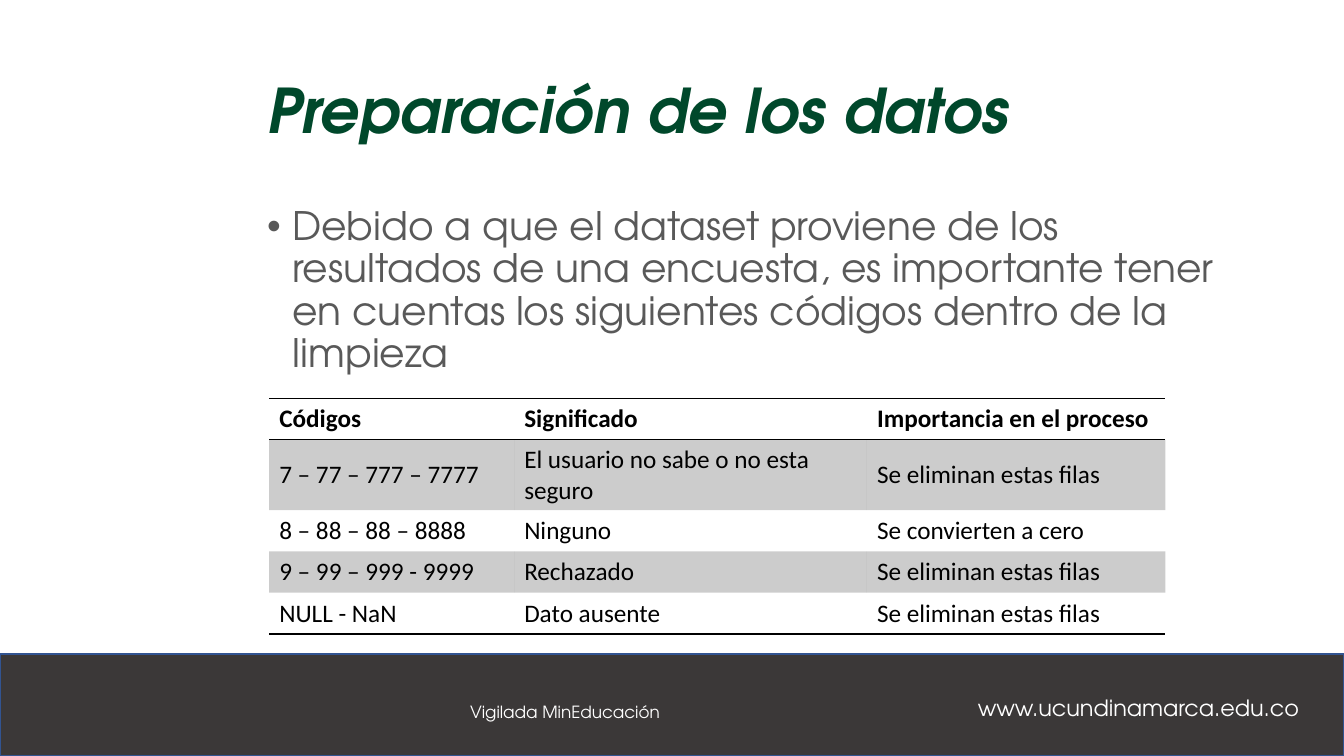
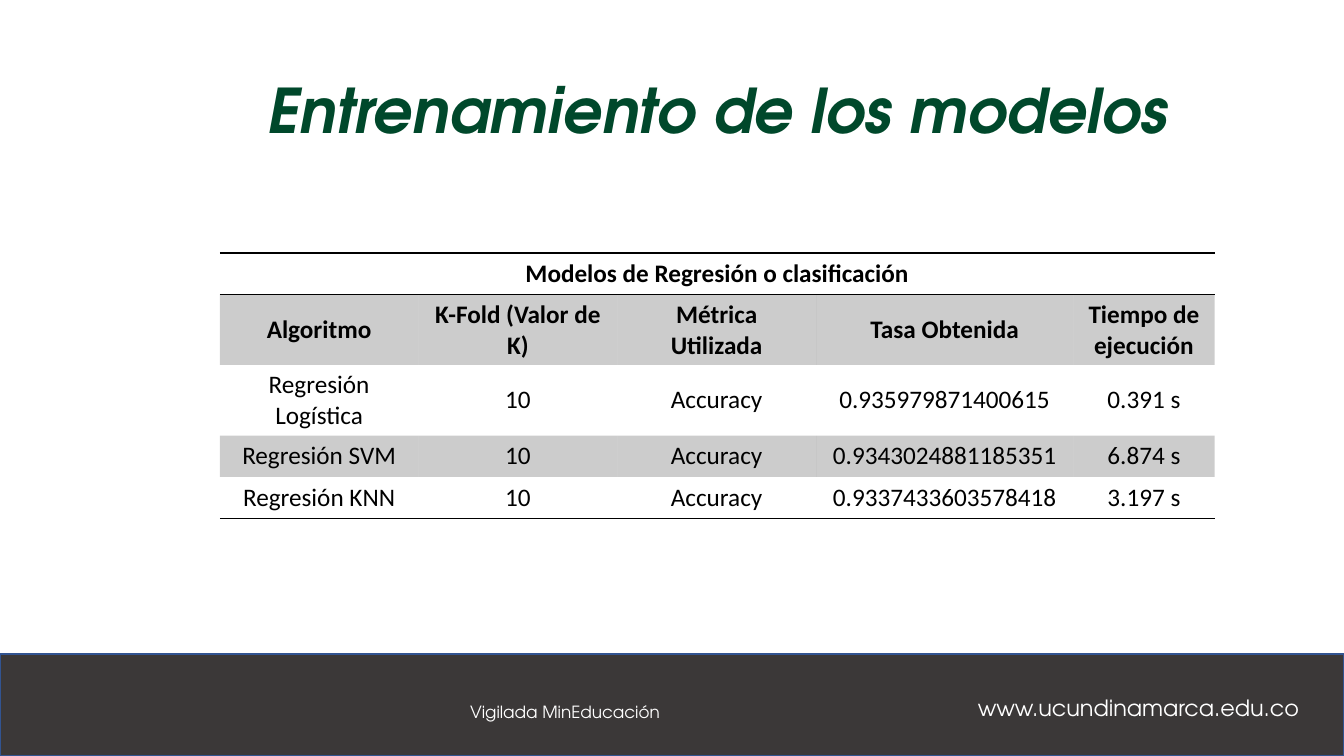
from dataclasses import dataclass

from lxml.etree import SubElement
from pptx import Presentation
from pptx.dml.color import RGBColor
from pptx.enum.shapes import MSO_SHAPE
from pptx.enum.text import MSO_ANCHOR, MSO_AUTO_SIZE, PP_ALIGN
from pptx.oxml import parse_xml
from pptx.oxml.ns import nsdecls, qn
from pptx.util import Inches, Pt


@dataclass(frozen=True)
class Theme:
    heading_font: str = "TeX Gyre Adventor"
    table_font: str = "Calibri"
    green: str = "00482B"
    gray: str = "595959"
    black: str = "000000"
    white: str = "FFFFFF"
    band: str = "3B3838"
    band_line: str = "325491"
    stripe_opacity: int = 20
    title_size: int = 44
    body_size: int = 28
    table_size: int = 18
    address_size: int = 16
    notice_size: int = 12
    line_spacing: float = 0.9


@dataclass(frozen=True)
class Box:
    left: int
    top: int
    width: int
    height: int

    def share(self, left, top, width, height):
        return Box(
            round(self.left + self.width * left / 100),
            round(self.top + self.height * top / 100),
            round(self.width * width / 100),
            round(self.height * height / 100),
        )

    def frame(self):
        return self.left, self.top, self.width, self.height


THEME = Theme()
PAGE = Box(0, 0, Inches(13.33), Inches(7.5))
FOOTER = PAGE.share(0, 86.53, 100, 13.47)
TITLE = PAGE.share(19.13, 5.33, 74.03, 19.33)
BODY = PAGE.share(19.13, 26.67, 74.03, 56.53)
CODES_TABLE = PAGE.share(20.03, 52.67, 66.68, 27.33)
MODELS_TABLE = PAGE.share(16.35, 33.47, 74.03, 27.33)

CODES = [
    ["Códigos", "Significado", "Importancia en el proceso"],
    ["7 – 77 – 777 – 7777", "El usuario no sabe o no esta seguro", "Se eliminan estas filas"],
    ["8 – 88 – 88 – 8888", "Ninguno", "Se convierten a cero"],
    ["9 – 99 – 999 - 9999", "Rechazado", "Se eliminan estas filas"],
    ["NULL - NaN", "Dato ausente", "Se eliminan estas filas"],
]
MODELS = [
    ["Modelos de Regresión o clasificación"],
    ["Algoritmo", "K-Fold (Valor de K)", "Métrica Utilizada", "Tasa Obtenida", "Tiempo de ejecución"],
    ["Regresión Logística", "10", "Accuracy", "0.935979871400615", "0.391 s"],
    ["Regresión SVM", "10", "Accuracy", "0.9343024881185351", "6.874 s"],
    ["Regresión KNN", "10", "Accuracy", "0.9337433603578418", "3.197 s"],
]
NO_TABLE_STYLE = "{2D5ABB26-0587-4C30-8999-92F81FD0307C}"


def format_paragraph(paragraph, font, size, color, align=PP_ALIGN.LEFT, bold=False, italic=False, spacing=1.0):
    paragraph.alignment = align
    paragraph.line_spacing = spacing
    paragraph.space_before = Pt(0)
    paragraph.font.name = font
    paragraph.font.size = Pt(size)
    paragraph.font.bold = bold
    paragraph.font.italic = italic
    paragraph.font.color.rgb = RGBColor.from_string(color)


def place(shape, box):
    shape.left, shape.top, shape.width, shape.height = box.frame()


def add_footer_text(slide, box, text, size):
    shape = slide.shapes.add_textbox(*box.frame())
    shape.text_frame.word_wrap = True
    shape.text_frame.text = text
    format_paragraph(
        shape.text_frame.paragraphs[0], THEME.heading_font, size, THEME.white,
        align=PP_ALIGN.CENTER, spacing=THEME.line_spacing,
    )


def add_footer(slide, box):
    band = slide.shapes.add_shape(MSO_SHAPE.RECTANGLE, *box.frame())
    band.shadow.inherit = False
    band.fill.solid()
    band.fill.fore_color.rgb = RGBColor.from_string(THEME.band)
    band.line.color.rgb = RGBColor.from_string(THEME.band_line)
    band.line.width = Pt(1)
    add_footer_text(slide, box.share(70.95, 37.6, 27.53, 39.6), "www.ucundinamarca.edu.co", THEME.address_size)
    add_footer_text(slide, box.share(28.28, 43.56, 27.53, 34.65), "Vigilada MinEducación", THEME.notice_size)


def set_title(slide, box, text):
    title = slide.shapes.title
    place(title, box)
    frame = title.text_frame
    frame.text = text
    frame.auto_size = MSO_AUTO_SIZE.NONE
    frame.vertical_anchor = MSO_ANCHOR.MIDDLE
    format_paragraph(
        frame.paragraphs[0], THEME.heading_font, THEME.title_size, THEME.green,
        bold=True, italic=True, spacing=THEME.line_spacing,
    )


def set_body(slide, box, text):
    body = slide.placeholders[1]
    place(body, box)
    frame = body.text_frame
    frame.text = text
    frame.auto_size = MSO_AUTO_SIZE.NONE
    paragraph = frame.paragraphs[0]
    properties = paragraph._p.get_or_add_pPr()
    properties.set("marL", str(Inches(0.25)))
    properties.set("indent", str(-Inches(0.25)))
    SubElement(properties, qn("a:buFont"), typeface="Arial")
    SubElement(properties, qn("a:buChar"), char="•")
    format_paragraph(
        paragraph, THEME.heading_font, THEME.body_size, THEME.gray, spacing=THEME.line_spacing,
    )


def fill_cell(cell, striped):
    if not striped:
        cell.fill.background()
        return
    cell.fill.solid()
    cell.fill.fore_color.rgb = RGBColor.from_string(THEME.black)
    color = cell._tc.tcPr.find(qn("a:solidFill"))[0]
    SubElement(color, qn("a:alpha"), val=str(THEME.stripe_opacity * 1000))


def draw_rules(cell, sides):
    for position, side in enumerate(sides):
        rule = parse_xml(
            f'<a:{side} {nsdecls("a")} w="{Pt(1)}"><a:solidFill>'
            f'<a:srgbClr val="{THEME.black}"/></a:solidFill></a:{side}>'
        )
        cell._tc.get_or_add_tcPr().insert(position, rule)


def add_striped_table(slide, box, rows, weights, align=PP_ALIGN.LEFT, bold_rows=1):
    graphic = slide.shapes.add_table(len(rows), len(weights), *box.frame())
    table = graphic.table
    table.first_row = table.horz_banding = False
    graphic.element.xpath(".//a:tableStyleId")[0].text = NO_TABLE_STYLE
    for column, weight in zip(table.columns, weights):
        column.width = round(box.width * weight / sum(weights))
    rules = {0: ("lnT", "lnB"), len(rows) - 1: ("lnB",)}
    for row_index, texts in enumerate(rows):
        if len(texts) == 1:
            table.cell(row_index, 0).merge(table.cell(row_index, len(weights) - 1))
        for column_index in range(len(weights)):
            cell = table.cell(row_index, column_index)
            fill_cell(cell, row_index % 2 == 1)
            draw_rules(cell, rules.get(row_index, ()))
            if column_index < len(texts):
                cell.text = texts[column_index]
                cell.vertical_anchor = MSO_ANCHOR.MIDDLE
                format_paragraph(
                    cell.text_frame.paragraphs[0], THEME.table_font, THEME.table_size, THEME.black,
                    align=align, bold=row_index < bold_rows,
                )


def add_page(presentation, layout_name, title):
    slide = presentation.slides.add_slide(presentation.slide_layouts.get_by_name(layout_name))
    add_footer(slide, FOOTER)
    set_title(slide, TITLE, title)
    return slide


def add_preparation_slide(presentation):
    slide = add_page(presentation, "Title and Content", "Preparación de los datos")
    set_body(
        slide, BODY,
        "Debido a que el dataset proviene de los resultados de una encuesta, es importante tener "
        "en cuentas los siguientes códigos dentro de la limpieza",
    )
    add_striped_table(slide, CODES_TABLE, CODES, [2.43, 3.5, 2.96])


def add_training_slide(presentation):
    slide = add_page(presentation, "Title Only", "Entrenamiento de los modelos")
    add_striped_table(
        slide, MODELS_TABLE, MODELS, [1.97, 1.97, 1.97, 2.55, 1.4], align=PP_ALIGN.CENTER, bold_rows=2,
    )


def main():
    presentation = Presentation()
    presentation.slide_width, presentation.slide_height = PAGE.width, PAGE.height
    add_preparation_slide(presentation)
    add_training_slide(presentation)
    presentation.save("out.pptx")


if __name__ == "__main__":
    main()
